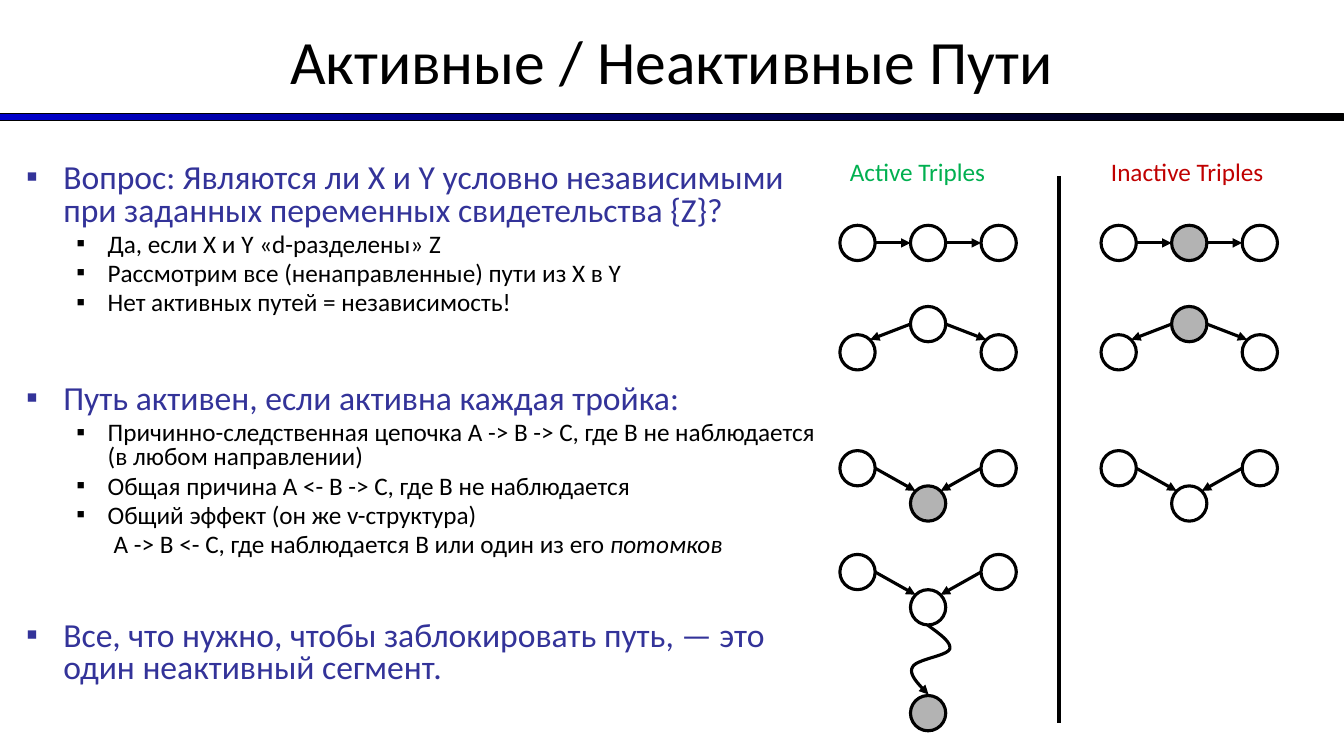
"""Slide on active and inactive paths in Bayesian networks."""
from lxml import etree
from pptx import Presentation
from pptx.dml.color import RGBColor
from pptx.enum.shapes import MSO_CONNECTOR, MSO_SHAPE
from pptx.enum.text import MSO_ANCHOR, PP_ALIGN
from pptx.oxml.ns import qn
from pptx.util import Inches, Pt

BLACK, WHITE, GRAY, INDIGO = "000000", "FFFFFF", "B3B3B3", "333399"
RADIUS, STEP, RIM = 0.175, 0.7, 0.125


def color(value):
    return RGBColor.from_string(value)


def stroke(part, width, arrow=False):
    part.line.color.rgb = color(BLACK)
    part.line.width = Pt(width)
    properties = part._element.spPr
    if arrow:
        etree.SubElement(part.line._get_or_add_ln(), qn("a:tailEnd"), type="triangle")
    if properties.find(qn("a:effectLst")) is None:
        etree.SubElement(properties, qn("a:effectLst"))


prs = Presentation()
prs.slide_width, prs.slide_height = Inches(13.33), Inches(7.5)
slide = prs.slides.add_slide(prs.slide_layouts[6])

title_rule = slide.shapes.add_shape(
    MSO_SHAPE.RECTANGLE, Inches(0), Inches(1.13), Inches(13.33), Inches(0.07))
title_rule.fill.gradient()
title_rule.fill.gradient_angle = 0
for stop, shade in zip(title_rule.fill.gradient_stops, ("0000CC", BLACK)):
    stop.color.rgb = color(shade)
stroke(title_rule, 0.75)

headings = [
    ("Активные / Неактивные Пути", 0, -0.03, 13.33, 1.25, 44, BLACK, PP_ALIGN.CENTER),
    ("Active Triples", 8.33, 1.5, 1.75, 0.4, 18, "00B050", PP_ALIGN.LEFT),
    ("Inactive Triples", 10.92, 1.5, 1.92, 0.4, 18, "C00000", PP_ALIGN.LEFT),
]
for text, left, top, width, height, size, shade, align in headings:
    heading = slide.shapes.add_textbox(
        Inches(left), Inches(top), Inches(width), Inches(height))
    frame = heading.text_frame
    frame.word_wrap = True
    frame.vertical_anchor = MSO_ANCHOR.MIDDLE
    frame.text = text
    frame.paragraphs[0].alignment = align
    font = frame.paragraphs[0].runs[0].font
    font.name, font.size, font.color.rgb = "Calibri", Pt(size), color(shade)

LEVELS = [(24, INDIGO, 0.37, -0.37), (18, BLACK, 0.81, -0.31), (18, BLACK, 0.87, 0)]
points = [
    (0, 4.8, ["Вопрос: Являются ли X и Y условно независимыми при заданных "
              "переменных свидетельства {Z}?"]),
    (1, 3.6, ["Да, если X и Y «d-разделены» Z"]),
    (1, 3.6, ["Рассмотрим все (ненаправленные) пути из X в Y"]),
    (1, 3.6, ["Нет активных путей = независимость!"]),
    (0, 49, ["Путь активен, если активна каждая тройка:"]),
    (1, 3.6, ["Причинно-следственная цепочка A -> B -> C, где B не наблюдается "
              "(в любом направлении)"]),
    (1, 3.6, ["Общая причина A <- B -> C, где B не наблюдается"]),
    (1, 3.6, ["Общий эффект (он же v-структура)"]),
    (2, 3.6, ["A -> B <- C, где наблюдается B или один из его ", "потомков"]),
    (0, 45, ["Все, что нужно, чтобы заблокировать путь, — это один неактивный сегмент."]),
]
body = slide.shapes.add_textbox(
    Inches(0.16), Inches(1.58), Inches(8.26), Inches(5.5)).text_frame
body.word_wrap = True
for index, (level, gap, pieces) in enumerate(points):
    size, shade, margin, indent = LEVELS[level]
    point = body.add_paragraph() if index else body.paragraphs[0]
    point.level = level
    point.line_spacing = 0.8
    point.space_before = Pt(gap)
    layout = point._p.get_or_add_pPr()
    layout.set("marL", str(Inches(margin)))
    layout.set("indent", str(Inches(indent)))
    if indent:
        bullet_color = etree.SubElement(layout, qn("a:buClr"))
        etree.SubElement(bullet_color, qn("a:srgbClr"), val=shade)
        etree.SubElement(layout, qn("a:buFont"), typeface="Arial")
        etree.SubElement(layout, qn("a:buChar"), char="▪")
    for number, piece in enumerate(pieces):
        run = point.add_run()
        run.text = piece
        run.font.name, run.font.size = "Calibri", Pt(size)
        run.font.color.rgb = color(shade)
        run.font.italic = number == 1

ACTIVE, INACTIVE = 9.205, 11.795
triples = [
    ("chain", ACTIVE, 2.41, 2.41, WHITE),
    ("chain", INACTIVE, 2.41, 2.41, GRAY),
    ("fork", ACTIVE, 3.495, 3.215, WHITE),
    ("fork", INACTIVE, 3.495, 3.215, GRAY),
    ("collider", ACTIVE, 4.645, 4.995, GRAY),
    ("collider", INACTIVE, 4.645, 4.995, WHITE),
    ("collider", ACTIVE, 5.675, 6.025, WHITE),
]
for kind, center, outer_y, middle_y, middle_fill in triples:
    triple = slide.shapes.add_group_shape().shapes
    nodes = [(center - STEP, outer_y, WHITE), (center, middle_y, middle_fill),
             (center + STEP, outer_y, WHITE)]
    if outer_y == 5.675:
        nodes.append((center, 7.075, GRAY))
    for x, y, shade in nodes:
        node = triple.add_shape(
            MSO_SHAPE.OVAL, Inches(x - RADIUS), Inches(y - RADIUS),
            Inches(2 * RADIUS), Inches(2 * RADIUS))
        node.fill.solid()
        node.fill.fore_color.rgb = color(shade)
        stroke(node, 2.25)
    for side in (-1, 1):
        inner, outer = center + side * RADIUS, center + side * (STEP - RADIUS)
        if kind == "chain":
            start, end = sorted([(inner, middle_y), (outer, outer_y)])
        elif kind == "fork":
            start = inner, middle_y
            end = center + side * (STEP - RIM), outer_y - RIM
        else:
            start = outer, outer_y
            end = center + side * RIM, middle_y - RIM
        link = triple.add_connector(
            MSO_CONNECTOR.STRAIGHT, *[Inches(value) for value in start + end])
        stroke(link, 2.25, arrow=True)

bends = [
    [(9.2, 6.2), (9.32, 6.29), (9.44, 6.37), (9.42, 6.44)],
    [(9.42, 6.44), (9.39, 6.51), (9.08, 6.54), (9.05, 6.62)],
    [(9.05, 6.62), (9.01, 6.69), (9.11, 6.79), (9.21, 6.89)],
]
curve = []
for bend in bends:
    for t in [step / 12 for step in range(1, 13)]:
        weights = (1 - t) ** 3, 3 * t * (1 - t) ** 2, 3 * t ** 2 * (1 - t), t ** 3
        curve.append(tuple(
            Inches(sum(w * knot[axis] for w, knot in zip(weights, bend)))
            for axis in (0, 1)))
builder = triple.build_freeform(Inches(9.2), Inches(6.2))
builder.add_line_segments(curve, close=False)
descendant_path = builder.convert_to_shape()
descendant_path.fill.background()
stroke(descendant_path, 2.25, arrow=True)

divider = slide.shapes.add_connector(
    MSO_CONNECTOR.STRAIGHT, Inches(10.5), Inches(1.75), Inches(10.5), Inches(7.17))
stroke(divider, 3)

prs.save("out.pptx")
